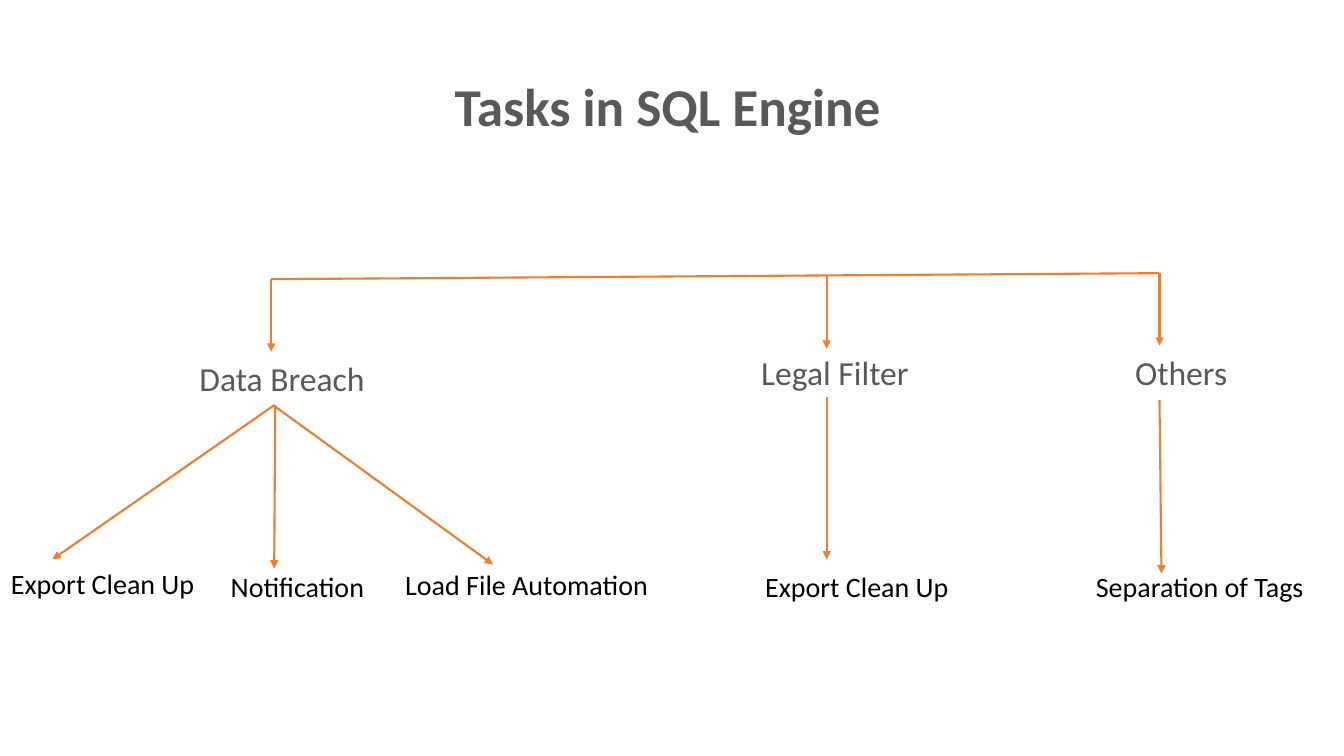
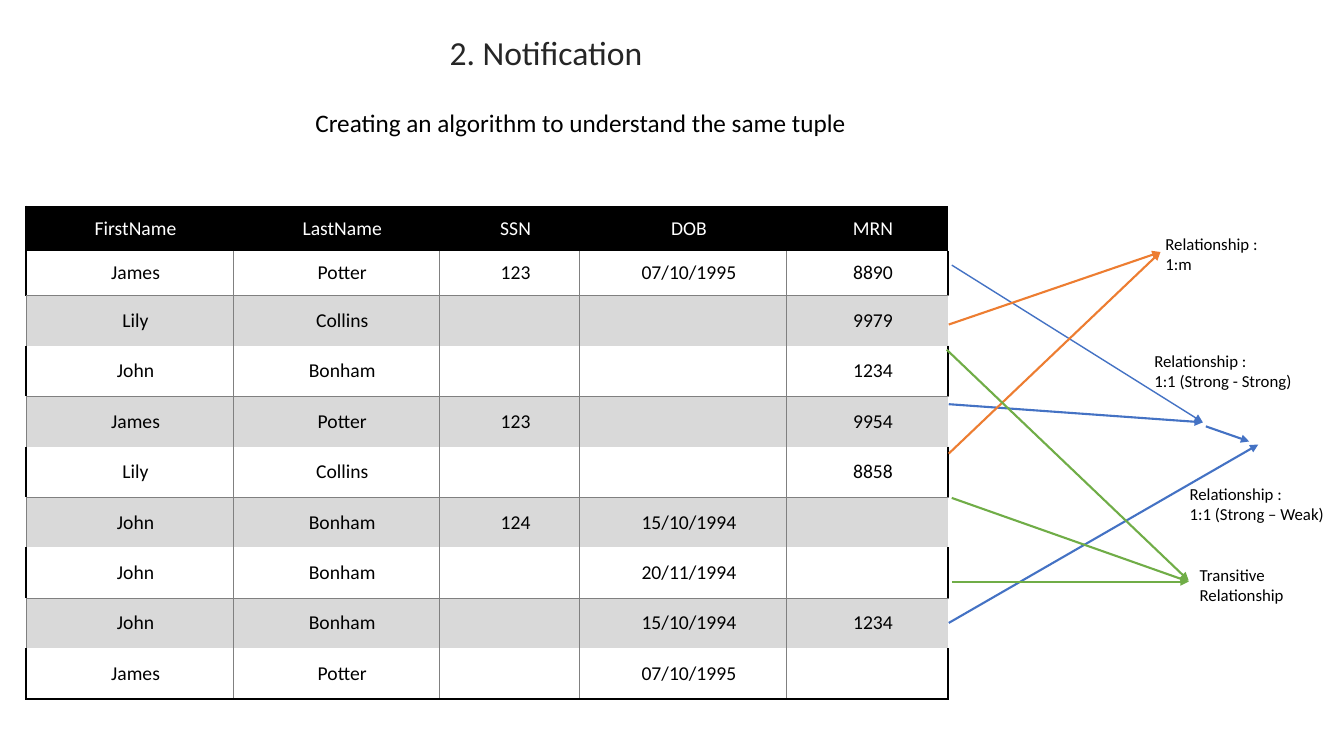
from lxml import etree
from pptx import Presentation
from pptx.dml.color import RGBColor
from pptx.enum.shapes import MSO_CONNECTOR as Connector
from pptx.enum.text import MSO_ANCHOR as Anchor, PP_ALIGN as Align
from pptx.oxml import parse_xml
from pptx.oxml.ns import nsdecls, qn
from pptx.util import Inches, Pt

FONT = "Calibri"
BLACK, WHITE, SLATE, INK = "000000", "FFFFFF", "595959", "262626"
BAND, RULE = "D9D9D9", "808080"
ORANGE, BLUE, GREEN = "ED7D31", "4472C4", "70AD47"

TASK_TITLE = ("Tasks in SQL Engine", 4.41, 0.68, 5.08, 0.74)
BRANCHES = [
    ("Data Breach", 1.88, 3.5, 2.4),
    ("Legal Filter", 7.45, 3.44, 2.15),
    ("Others", 11.16, 3.44, 1.53),
]
TASKS = [
    ("Export Clean Up", 0.01, 5.57, 2.09),
    ("Notification", 2.19, 5.6, 1.93),
    ("Load File Automation", 3.92, 5.58, 2.7),
    ("Export Clean Up", 7.49, 5.6, 2.09),
    ("Separation of Tags", 10.77, 5.6, 2.31),
]
TRUNK = ((2.69, 2.77), (11.5, 2.71))
DROP_POINTS = [(2.69, 2.77), (8.2, 2.74), (11.5, 2.71)]
DROP_LENGTH = 0.72
TASK_ARROWS = [
    ((2.72, 4.02), (0.52, 5.55)),
    ((2.73, 4.02), (2.72, 5.64)),
    ((2.71, 4.02), (4.89, 5.6)),
    ((8.2, 3.94), (8.2, 5.55)),
    ((11.5, 3.97), (11.52, 5.69)),
]

TABLE_LEFT, TABLE_TOP, ROW_HEIGHT = 0.26, 2.05, 0.44
COLUMN_WIDTHS = [2.05, 2.05, 1.39, 2.05, 1.6]
RECORDS = [
    ("FirstName", "LastName", "SSN", "DOB", "MRN"),
    ("James", "Potter", "123", "07/10/1995", "8890"),
    ("Lily", "Collins", "", "", "9979"),
    ("John", "Bonham", "", "", "1234"),
    ("James", "Potter", "123", "", "9954"),
    ("Lily", "Collins", "", "", "8858"),
    ("John", "Bonham", "124", "15/10/1994", ""),
    ("John", "Bonham", "", "20/11/1994", ""),
    ("John", "Bonham", "", "15/10/1994", "1234"),
    ("James", "Potter", "", "07/10/1995", ""),
]
RELATIONSHIPS = [
    ("Relationship :\n1:m", 11.46, 2.27, 1.38),
    ("Relationship :\n1:1 (Strong - Strong)", 11.35, 3.43, 1.84),
    ("Relationship :\n1:1 (Strong – Weak)", 11.7, 4.75, 1.62),
    ("Transitive Relationship", 11.8, 5.55, 1.52),
]
LINKS = [
    (BLUE, 1, (9.44, 2.63), (11.93, 4.19)),
    (BLUE, 1.5, (9.41, 4.01), (11.93, 4.19)),
    (BLUE, 1.5, (9.41, 6.18), (12.48, 4.41)),
    (BLUE, 1.5, (11.96, 4.23), (12.39, 4.38)),
    (ORANGE, 1.5, (9.41, 3.22), (11.51, 2.5)),
    (ORANGE, 1.5, (9.41, 4.5), (11.51, 2.5)),
    (GREEN, 1.5, (9.44, 4.94), (11.79, 5.77)),
    (GREEN, 1.5, (9.44, 5.77), (11.79, 5.77)),
    (GREEN, 1.5, (9.39, 3.47), (11.79, 5.76)),
]


def color(value):
    return RGBColor.from_string(value)


def write_text(frame, text, size=18, fill=BLACK, bold=False, align=Align.LEFT):
    frame.word_wrap = True
    for index, line in enumerate(text.split("\n")):
        paragraph = frame.paragraphs[0] if index == 0 else frame.add_paragraph()
        paragraph.alignment = align
        run = paragraph.add_run()
        run.text = line
        run.font.name = FONT
        run.font.size = Pt(size)
        run.font.bold = bold
        run.font.color.rgb = color(fill)


def add_text(slide, text, left, top, width, height=0.5, **style):
    box = slide.shapes.add_textbox(*map(Inches, (left, top, width, height)))
    write_text(box.text_frame, text, **style)


def add_line(slide, start, end, stroke=ORANGE, weight=1.5, arrow=True):
    connector = slide.shapes.add_connector(
        Connector.STRAIGHT, *map(Inches, (*start, *end)))
    connector.line.color.rgb = color(stroke)
    connector.line.width = Pt(weight)
    if arrow:
        outline = connector.line._get_or_add_ln()
        etree.SubElement(outline, qn("a:tailEnd"), type="triangle")
    etree.SubElement(connector._element.spPr, qn("a:effectLst"))


def cell_edges(row, column):
    def vertical(position):
        white_row = row % 2 == 1
        if position == 0:
            return (RULE, 0.5) if row and not white_row else (BLACK, 1.5)
        if position == len(COLUMN_WIDTHS):
            return (BLACK, 1.5) if white_row else None
        return (RULE, 0.5) if row else None

    def horizontal(position):
        if position in (0, len(RECORDS)):
            return BLACK, 1.5
        return (RULE, 0.5) if position % 2 == 0 else None

    return {"lnL": vertical(column), "lnR": vertical(column + 1),
            "lnT": horizontal(row), "lnB": horizontal(row + 1)}


def set_edges(cell, edges):
    properties = cell._tc.get_or_add_tcPr()
    for index, (tag, edge) in enumerate(edges.items()):
        stroke, weight = edge or (None, 0)
        fill = (f'<a:solidFill><a:srgbClr val="{stroke}"/></a:solidFill>'
                if stroke else "<a:noFill/>")
        properties.insert(index, parse_xml(
            f'<a:{tag} {nsdecls("a")} w="{Pt(weight)}">{fill}</a:{tag}>'))


def add_records(slide):
    table = slide.shapes.add_table(
        len(RECORDS), len(COLUMN_WIDTHS), Inches(TABLE_LEFT), Inches(TABLE_TOP),
        Inches(sum(COLUMN_WIDTHS)), Inches(ROW_HEIGHT * len(RECORDS))).table
    table.first_row = table.horz_banding = False
    for column, width in zip(table.columns, COLUMN_WIDTHS):
        column.width = Inches(width)
    for row, record in enumerate(RECORDS):
        table.rows[row].height = Inches(ROW_HEIGHT)
        background = BLACK if row == 0 else WHITE if row % 2 else BAND
        for column, value in enumerate(record):
            cell = table.cell(row, column)
            cell.vertical_anchor = Anchor.MIDDLE
            cell.margin_left, cell.margin_right = Inches(0.13), Inches(0.01)
            cell.margin_top = cell.margin_bottom = Inches(0.1)
            cell.fill.solid()
            cell.fill.fore_color.rgb = color(background)
            write_text(cell.text_frame, value, size=14, align=Align.CENTER,
                       fill=BLACK if row else WHITE)
            set_edges(cell, cell_edges(row, column))


def build_tasks(slide):
    add_text(slide, *TASK_TITLE, size=38, fill=SLATE, bold=True)
    for branch in BRANCHES:
        add_text(slide, *branch, size=24, fill=SLATE)
    for task in TASKS:
        add_text(slide, *task, height=0.44, size=20)
    add_line(slide, *TRUNK, arrow=False)
    for x, y in DROP_POINTS:
        add_line(slide, (x, y), (x, y + DROP_LENGTH))
    for start, end in TASK_ARROWS:
        add_line(slide, start, end)


def build_notification(slide):
    add_text(slide, "2. Notification", 4.36, 0.27, 2.99, size=24, fill=INK)
    add_text(slide, "Creating an algorithm to understand the same tuple",
             3.03, 1.02, 6.6, 0.4)
    add_records(slide)
    for stroke, weight, start, end in LINKS:
        add_line(slide, start, end, stroke, weight)
    for relationship in RELATIONSHIPS:
        add_text(slide, *relationship, size=12)


def main():
    presentation = Presentation()
    presentation.slide_width, presentation.slide_height = Inches(13.33), Inches(7.5)
    for build in (build_tasks, build_notification):
        build(presentation.slides.add_slide(presentation.slide_layouts[6]))
    presentation.save("out.pptx")


if __name__ == "__main__":
    main()
